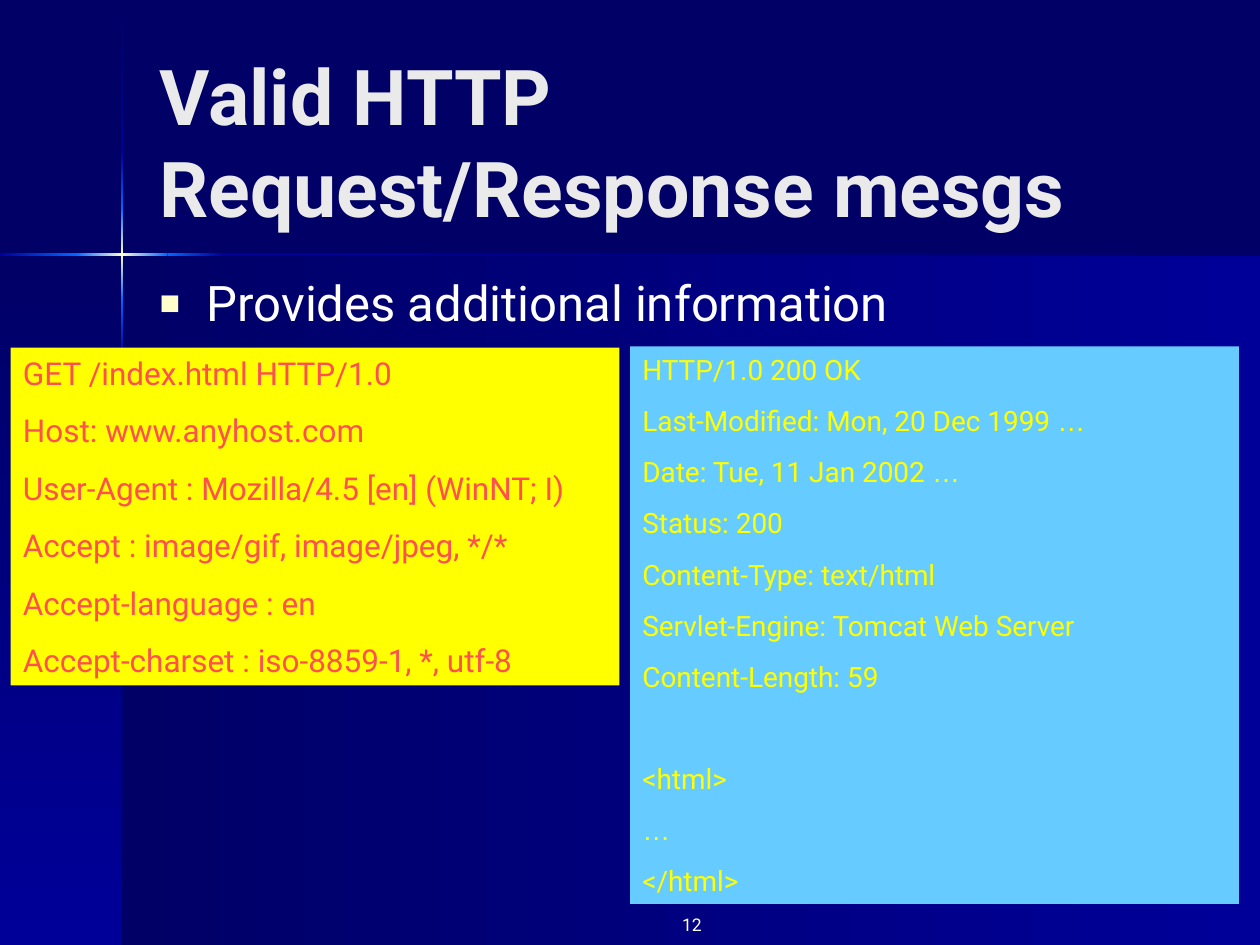
from copy import deepcopy
from dataclasses import dataclass
from itertools import pairwise

from lxml import etree
from pptx import Presentation
from pptx.dml.color import RGBColor
from pptx.enum import shapes, text
from pptx.oxml.ns import qn
from pptx.util import Pt

NAVY = RGBColor(0x00, 0x00, 0x66)
BLUE = RGBColor(0x00, 0x00, 0x99)
GLOW = RGBColor(0x00, 0x66, 0xFF)
CREAM = RGBColor(0xFF, 0xFF, 0xCC)
WHITE = RGBColor(0xFF, 0xFF, 0xFF)
SILVER = RGBColor(0xEA, 0xEA, 0xEA)
YELLOW = RGBColor(0xFF, 0xFF, 0x00)
SKY = RGBColor(0x66, 0xCC, 0xFF)
CORAL = RGBColor(0xFF, 0x50, 0x50)

FONT, ELLIPSIS_FONT = "Roboto", "Arial"
WIDTH, HEIGHT = 720, 540
CROSS_X, CROSS_Y = 69.8, 145.4
BEAM = 1.44

Colors = tuple[RGBColor, ...]


@dataclass
class Box:
    left: float
    top: float
    width: float
    height: float

    def lengths(self) -> tuple[Pt, ...]:
        return tuple(Pt(v) for v in (self.left, self.top, self.width, self.height))


@dataclass
class Message:
    box: Box
    fill: RGBColor
    color: RGBColor
    size: float
    gap: float
    head: list[str]
    body: list[str]
    body_gap: float = 0


REQUEST = Message(
    Box(6, 198.7, 348, 193), YELLOW, CORAL, 18, 11.2,
    ["GET /index.html HTTP/1.0",
     "Host: www.anyhost.com",
     "User-Agent : Mozilla/4.5 [en] (WinNT; I)",
     "Accept : image/gif, image/jpeg, */*",
     "Accept-language : en",
     "Accept-charset : iso-8859-1, *, utf-8"],
    [])
RESPONSE = Message(
    Box(360, 198, 348, 318.5), SKY, YELLOW, 16, 10,
    ["HTTP/1.0 200 OK",
     "Last-Modified: Mon, 20 Dec 1999 …",
     "Date: Tue, 11 Jan 2002 …",
     "Status: 200",
     "Content-Type: text/html",
     "Servlet-Engine: Tomcat Web Server",
     "Content-Length: 59"],
    ["<html>", "…", "</html>"], 39)


def add_rect(slide, box: Box):
    sp = slide.shapes.add_shape(shapes.MSO_SHAPE.RECTANGLE, *box.lengths())
    sp.shadow.inherit = False
    sp.line.fill.background()
    return sp


def add_gradient(slide, box: Box, colors: Colors, downward: bool) -> None:
    sp = add_rect(slide, box)
    fill = sp.fill
    fill.gradient()
    fill.gradient_angle = 270 if downward else 0
    stop_list = next(sp._element.iter(qn("a:gsLst")))
    for _ in colors[2:]:
        stop_list.append(deepcopy(stop_list[-1]))
    for i, (stop, color) in enumerate(zip(fill.gradient_stops, colors)):
        stop.position = i / (len(colors) - 1)
        stop.color.rgb = color


def add_backdrop(slide) -> None:
    """Two shaded panels under a cross of light."""
    below = HEIGHT - CROSS_Y
    add_gradient(slide, Box(CROSS_X, CROSS_Y, WIDTH - CROSS_X, below), (NAVY, BLUE), False)
    add_gradient(slide, Box(0, CROSS_Y, CROSS_X, below), (NAVY, BLUE), True)

    rise, flare, fall = (BLUE, GLOW), (GLOW, CREAM, GLOW), (GLOW, BLUE)
    fade_in, fade_out = (NAVY, BLUE), (BLUE, NAVY)
    x, y = CROSS_X - BEAM / 2, CROSS_Y - BEAM / 2
    columns = pairwise((0.7, 87, 119, 171.4, 203, HEIGHT))
    for (start, end), colors in zip(columns, (fade_in, rise, flare, fall, fade_out)):
        add_gradient(slide, Box(x, start, BEAM, end - start), colors, True)
    rows = pairwise((0, 43.5, 95.8, 127.4, WIDTH))
    for (start, end), colors in zip(rows, (rise, flare, fall, fade_out)):
        add_gradient(slide, Box(start, y, end - start, BEAM), colors, False)


def add_run(p, words: str, size: float, color: RGBColor,
            font: str = FONT, bold: bool = False) -> None:
    r = p.add_run()
    r.text = words
    r.font.name = font
    r.font.size = Pt(size)
    r.font.bold = bold
    r.font.color.rgb = color


def place(sp, box: Box, anchor: text.MSO_ANCHOR):
    """Move a placeholder to the front at the given box; return its first paragraph."""
    sp.left, sp.top, sp.width, sp.height = box.lengths()
    sp._element.getparent().append(sp._element)
    tf = sp.text_frame
    tf.word_wrap = True
    tf.auto_size = text.MSO_AUTO_SIZE.NONE
    tf.vertical_anchor = anchor
    p = tf.paragraphs[0]
    p.alignment = text.PP_ALIGN.LEFT
    p.space_before = Pt(0)
    return p


def add_square_bullet(p, indent: float) -> None:
    pPr = p._p.get_or_add_pPr()
    pPr.set("marL", str(Pt(indent)))
    pPr.set("indent", str(Pt(-indent)))
    color = etree.SubElement(pPr, qn("a:buClr"))
    etree.SubElement(color, qn("a:srgbClr"), val=str(CREAM))
    etree.SubElement(pPr, qn("a:buSzPct"), val="70000")
    etree.SubElement(pPr, qn("a:buFont"), typeface=ELLIPSIS_FONT)
    etree.SubElement(pPr, qn("a:buChar"), char="■")


def add_message(slide, msg: Message) -> None:
    sp = add_rect(slide, msg.box)
    sp.fill.solid()
    sp.fill.fore_color.rgb = msg.fill
    tf = sp.text_frame
    tf.word_wrap = True
    tf.vertical_anchor = text.MSO_ANCHOR.TOP
    for i, line in enumerate(msg.head + msg.body):
        p = tf.add_paragraph() if i else tf.paragraphs[0]
        p.alignment = text.PP_ALIGN.LEFT
        if i:
            p.space_before = Pt(msg.body_gap if i == len(msg.head) else msg.gap)
        words, dots, _ = line.partition("…")
        if words:
            add_run(p, words, msg.size, msg.color)
        if dots:
            add_run(p, dots, msg.size, msg.color, ELLIPSIS_FONT)


def add_page_number(slide, number: str) -> None:
    sp = slide.shapes.add_textbox(*Box(360, 519, 48, 17.3).lengths())
    tf = sp.text_frame
    tf.word_wrap = True
    p = tf.paragraphs[0]
    p.alignment = text.PP_ALIGN.RIGHT
    add_run(p, number, 10, WHITE)


def main() -> None:
    prs = Presentation()
    prs.slide_width, prs.slide_height = Pt(WIDTH), Pt(HEIGHT)
    slide = prs.slides.add_slide(prs.slide_layouts[1])
    slide.background.fill.solid()
    slide.background.fill.fore_color.rgb = NAVY
    add_backdrop(slide)
    add_page_number(slide, "12")

    title, body = slide.placeholders
    p = place(title, Box(84, 24, 594, 113), text.MSO_ANCHOR.MIDDLE)
    add_run(p, "Valid HTTP Request/Response mesgs", 44, SILVER, bold=True)
    p = place(body, Box(84, 156, 618, 42), text.MSO_ANCHOR.TOP)
    p.line_spacing = 0.9
    add_square_bullet(p, 27)
    add_run(p, "Provides additional information", 28, WHITE)

    for msg in (REQUEST, RESPONSE):
        add_message(slide, msg)
    prs.save("out.pptx")


if __name__ == "__main__":
    main()
